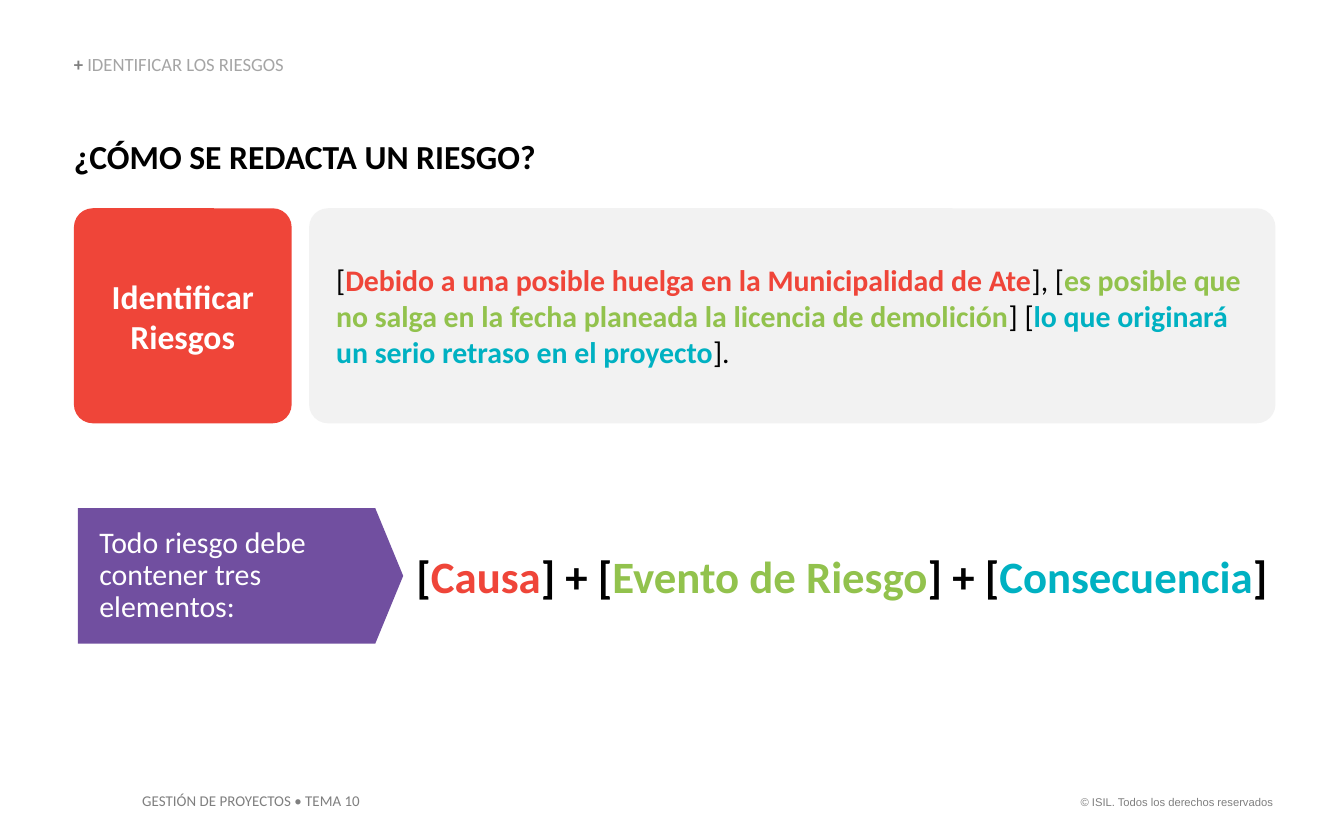
from pptx import Presentation
from pptx.dml.color import RGBColor
from pptx.enum.shapes import MSO_SHAPE
from pptx.enum.text import MSO_ANCHOR, PP_ALIGN
from pptx.util import Inches, Pt

CELL = 0.1
COLS, ROWS = 100, 62.5
PAD = (1, 0.5, 1, 0.5)
FLUSH = (0, 0, 0, 0)
COLORS = {
    "black": "000000", "white": "FFFFFF", "gray": "7F7F7F", "silver": "A5A5A5",
    "pale": "F2F2F2", "cause": "EF4539", "event": "92C24D", "effect": "00B1C2",
    "purple": "714FA0",
}


def cells(count):
    return Inches(round(count * CELL, 3))


def paint(name):
    return RGBColor.from_string(COLORS[name])


def write(shape, parts, size, pad=PAD, align=PP_ALIGN.LEFT,
          anchor=MSO_ANCHOR.TOP, font="Calibri", space=1.0):
    frame = shape.text_frame
    frame.word_wrap = True
    frame.vertical_anchor = anchor
    (frame.margin_left, frame.margin_top,
     frame.margin_right, frame.margin_bottom) = map(cells, pad)
    line = frame.paragraphs[0]
    line.alignment = align
    line.line_spacing = space
    for text, color, bold in parts:
        run = line.add_run()
        run.text = text
        run.font.name = font
        run.font.size = Pt(size)
        run.font.bold = bold
        run.font.color.rgb = paint(color)


def label(slide, box, parts, size, **style):
    shape = slide.shapes.add_textbox(*map(cells, box))
    write(shape, parts, size, **style)


def panel(slide, box, kind, bend, fill, parts, size, **style):
    shape = slide.shapes.add_shape(kind, *map(cells, box))
    shape.adjustments[0] = bend
    shape.shadow.inherit = False
    shape.fill.solid()
    shape.fill.fore_color.rgb = paint(fill)
    shape.line.fill.background()
    write(shape, parts, size, anchor=MSO_ANCHOR.MIDDLE, **style)


def header(slide, box):
    left, top, width, height = box
    label(slide, (left, top, width * 0.45, 1.5),
          [("+ ", "gray", True), ("IDENTIFICAR LOS RIESGOS", "silver", False)],
          10, pad=FLUSH, anchor=MSO_ANCHOR.BOTTOM, space=0.9)
    label(slide, (left, top + height - 3, width * 2 / 3, 3),
          [("¿CÓMO SE REDACTA UN RIESGO?", "black", True)], 18, pad=FLUSH)


def example(slide, box):
    left, top, width, height = box
    side, gap = 16.2, 1.3
    body = side + gap
    panel(slide, (left, top, side, height), MSO_SHAPE.ROUNDED_RECTANGLE, 0.088,
          "cause", [("Identificar Riesgos", "white", True)], 18,
          align=PP_ALIGN.CENTER)
    parts = [
        ("[", "black", False),
        ("Debido a una posible huelga en la Municipalidad de Ate", "cause", True),
        ("], [", "black", False),
        ("es posible que no salga en la fecha planeada la licencia de demolición",
         "event", True),
        ("] [", "black", False),
        ("lo que originará un serio retraso en el proyecto", "effect", True),
        ("].", "black", False),
    ]
    panel(slide, (left + body, top, width - body, height),
          MSO_SHAPE.ROUNDED_RECTANGLE, 0.088, "pale", parts, 16,
          pad=(1.6, 0.5, 2, 0.5))


def formula(slide, box):
    left, top, width, height = box
    side, rise = 24.2, 5
    panel(slide, (left, top, side, height), MSO_SHAPE.PENTAGON, 0.206, "purple",
          [("Todo riesgo debe contener tres elementos:", "white", False)], 16,
          pad=(1.6, 0.5, 1, 0.5), space=0.9)
    parts = [
        ("[", "black", True), ("Causa", "cause", True),
        ("] + [", "black", True), ("Evento de Riesgo", "event", True),
        ("] + [", "black", True), ("Consecuencia", "effect", True),
        ("]", "black", True),
    ]
    label(slide, (left + side, top + (height - rise) / 2, width - side, rise),
          parts, 24)


def footer(slide, box):
    left, top, width, height = box
    right = 16.6
    label(slide, (left, top, 18.5, height),
          [("GESTIÓN DE PROYECTOS • TEMA 10", "gray", False)], 8)
    label(slide, (left + width - right, top + 0.3, right, height - 0.4),
          [("© ISIL. Todos los derechos reservados", "gray", False)], 6,
          align=PP_ALIGN.RIGHT, font="Arial")


def main():
    deck = Presentation()
    deck.slide_width, deck.slide_height = cells(COLS), cells(ROWS)
    slide = deck.slides.add_slide(deck.slide_layouts[6])
    header(slide, (5.5, 4.1, 89.4, 9))
    example(slide, (5.5, 15.5, 89.4, 16))
    formula(slide, (5.8, 37.8, 92, 10.1))
    footer(slide, (9.6, 58.4, 86.1, 2.4))
    deck.save("out.pptx")


if __name__ == "__main__":
    main()
